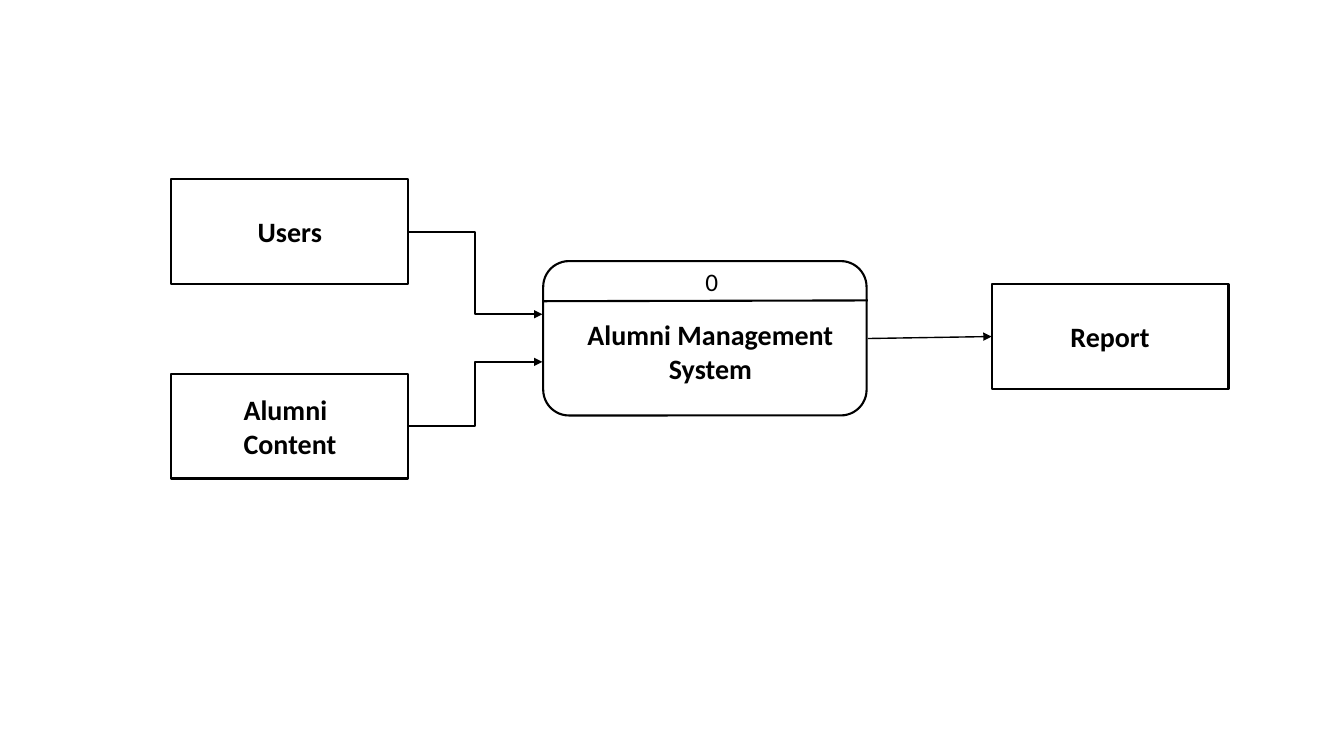
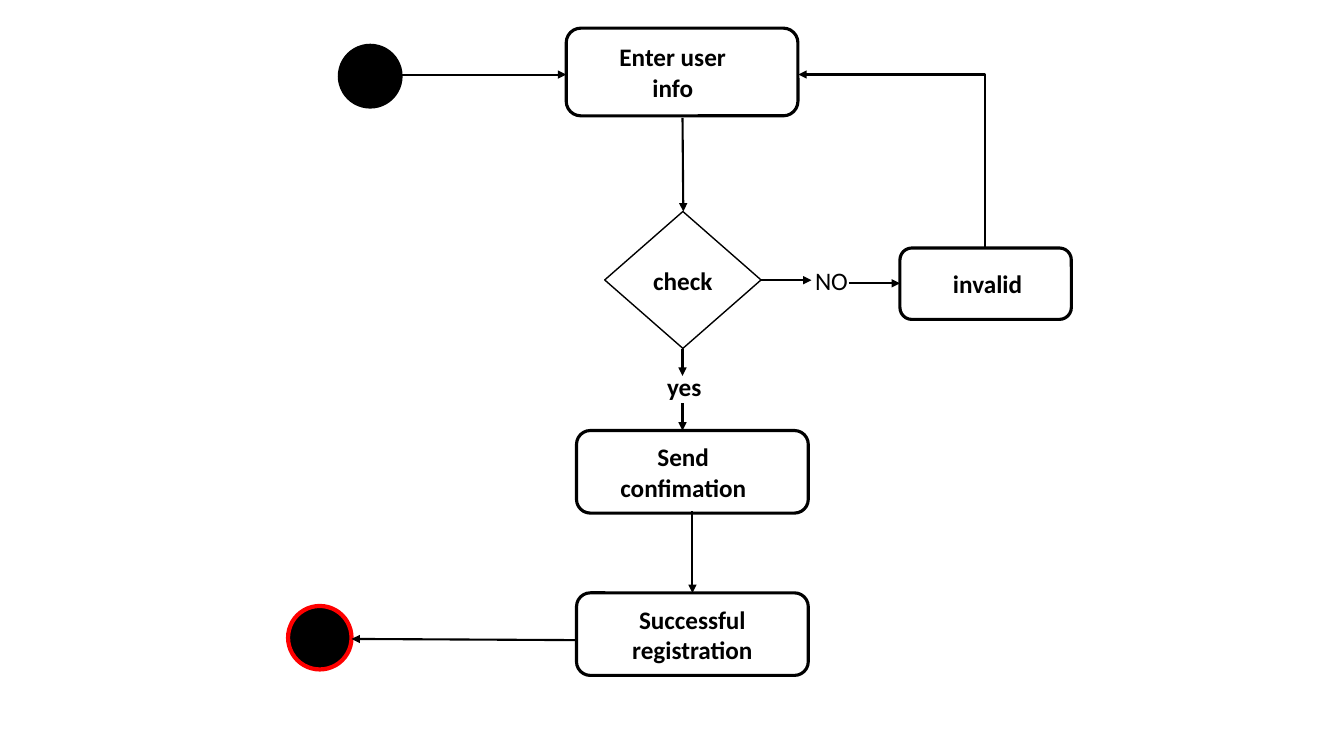
import pptx
import pptx.util
import pptx.oxml.ns
import pptx.oxml.xmlchemy
import pptx.dml.color
import pptx.enum.shapes
import pptx.enum.text
from dataclasses import dataclass

Cm = pptx.util.Cm
Pt = pptx.util.Pt
Kind = pptx.enum.shapes.MSO_SHAPE
Link = pptx.enum.shapes.MSO_CONNECTOR
Align = pptx.enum.text.PP_ALIGN
Anchor = pptx.enum.text.MSO_ANCHOR
qn = pptx.oxml.ns.qn
make = pptx.oxml.xmlchemy.OxmlElement


@dataclass(frozen=True)
class Theme:
    ink: str = "000000"
    paper: str = "FFFFFF"
    alert: str = "FF0000"
    font: str = "Calibri"
    large: float = 20
    small: float = 18
    thin: float = 1
    line: float = 1.5
    bold: float = 2.25
    ring: float = 3


def rgb(code):
    return pptx.dml.color.RGBColor.from_string(code)


def write(frame, text, *, font, size, color, bold=True, align=Align.CENTER,
          anchor=Anchor.MIDDLE, pad=(0.25, 0.13, 0.25, 0.13)):
    frame.word_wrap = True
    frame.vertical_anchor = anchor
    left, top, right, bottom = (Cm(n) for n in pad)
    frame.margin_left, frame.margin_top = left, top
    frame.margin_right, frame.margin_bottom = right, bottom
    for i, row in enumerate(text.split("\n")):
        para = frame.add_paragraph() if i else frame.paragraphs[0]
        para.alignment = align
        run = para.add_run()
        run.text = row
        run.font.name, run.font.size = font, Pt(size)
        run.font.bold, run.font.color.rgb = bold, rgb(color)


class Deck:
    """Draws flow diagrams in one shared style."""

    def __init__(self, theme):
        self.theme = theme
        self.show = pptx.Presentation()
        self.show.slide_width, self.show.slide_height = Cm(33.87), Cm(19.05)
        self.slide = None

    def page(self):
        self.slide = self.show.slides.add_slide(self.show.slide_layouts[6])

    def text(self, frame, text, size, **form):
        write(frame, text, font=self.theme.font, size=size,
              color=self.theme.ink, **form)

    def node(self, kind, at, text="", size=None, line=None, fill=None,
             edge=None, **form):
        theme = self.theme
        shape = self.slide.shapes.add_shape(kind, *(Cm(n) for n in at))
        shape.shadow.inherit = False
        shape.fill.solid()
        shape.fill.fore_color.rgb = rgb(fill or theme.paper)
        shape.line.color.rgb = rgb(edge or theme.ink)
        shape.line.width = Pt(line or theme.line)
        if text:
            self.text(shape.text_frame, text, size or theme.small, **form)

    def label(self, at, text, **form):
        box = self.slide.shapes.add_textbox(*(Cm(n) for n in at))
        self.text(box.text_frame, text, self.theme.small,
                  anchor=Anchor.TOP, **form)

    def link(self, x1, y1, x2, y2, kind=Link.STRAIGHT, width=None, head=True):
        wire = self.slide.shapes.add_connector(
            kind, Cm(x1), Cm(y1), Cm(x2), Cm(y2))
        wire.line.color.rgb = rgb(self.theme.ink)
        wire.line.width = Pt(width or self.theme.line)
        props = wire._element.spPr
        if head:
            tip = make("a:tailEnd")
            tip.set("type", "triangle")
            props.find(qn("a:ln")).append(tip)
        props.append(make("a:effectLst"))
        return wire

    def turn(self, x1, y1, x2, y2):
        mid, row = (x1 + x2) / 2, (y1 + y2) / 2
        half, rise = abs(y1 - y2) / 2, abs(x1 - x2) / 2
        wire = self.link(mid - half, row + rise, mid + half, row - rise,
                         kind=Link.ELBOW)
        props = wire._element.spPr
        props.find(qn("a:prstGeom")).set("prst", "bentConnector2")
        props.find(qn("a:xfrm")).set("rot", str(270 * 60000))


def context(deck):
    theme = deck.theme
    deck.page()
    for x, y, text, form in (
        (4.32, 4.52, "Users", {}),
        (4.32, 9.42, "Alumni Content",
         {"align": Align.LEFT, "pad": (1.82, 0.13, 1.42, 0.13)}),
        (24.99, 7.16, "Report", {}),
    ):
        deck.node(Kind.RECTANGLE, (x, y, 5.97, 2.64), text, theme.large, **form)
    deck.node(Kind.ROUNDED_RECTANGLE, (13.69, 6.58, 8.15, 3.89),
              "Alumni Management\nSystem", theme.large, pad=(0.28, 0.65, 0, 0))
    deck.label((15.09, 6.58, 5.69, 1.02), "0", bold=False)
    deck.link(13.67, 7.59, 21.87, 7.57, head=False)
    for start, end in ((5.84, 7.92), (10.74, 9.12)):
        deck.link(10.29, start, 13.67, end, kind=Link.ELBOW)
    deck.link(21.87, 8.53, 24.99, 8.48, width=theme.thin)


def signup(deck):
    theme = deck.theme
    deck.page()
    for at, text, left, right in (
        ((14.27, 0.71, 5.84, 2.21), "Enter user info", 0.68, 1.15),
        ((22.68, 6.25, 4.32, 1.8), "invalid", 0.1, 0),
        ((14.53, 10.85, 5.84, 2.08), "Send confimation", 0.48, 0.94),
        ((14.53, 14.94, 5.84, 2.08), "Successful registration", 0.7, 0.7),
    ):
        deck.node(Kind.ROUNDED_RECTANGLE, at, text, line=theme.bold,
                  pad=(left, 0, right, 0))
    deck.node(Kind.DIAMOND, (15.24, 5.33, 3.94, 3.45), "check",
              line=theme.thin, pad=(0, 0, 0, 0))
    for x, y, edge, line in ((8.53, 1.12, theme.ink, theme.thin),
                             (7.26, 15.27, theme.alert, theme.ring)):
        deck.node(Kind.OVAL, (x, y, 1.6, 1.6), fill=theme.ink,
                  edge=edge, line=line)
    deck.label((20.29, 6.55, 1.42, 1.02), "NO", bold=False, align=Align.LEFT)
    deck.label((16.56, 9.22, 1.8, 1.02), "yes", align=Align.LEFT)
    for ends in (
        (9.6, 1.88, 14.27, 1.88),
        (17.2, 2.97, 17.22, 5.33),
        (19.18, 7.06, 20.45, 7.06),
        (21.39, 7.14, 22.68, 7.14),
        (17.2, 8.79, 17.2, 9.47),
        (17.2, 10.16, 17.2, 10.85),
        (17.45, 12.88, 17.45, 14.94),
        (14.53, 16.13, 8.86, 16.1),
    ):
        deck.link(*ends)
    deck.turn(24.82, 6.25, 20.12, 1.88)


def main():
    deck = Deck(Theme())
    context(deck)
    signup(deck)
    deck.show.save("out.pptx")


if __name__ == "__main__":
    main()
